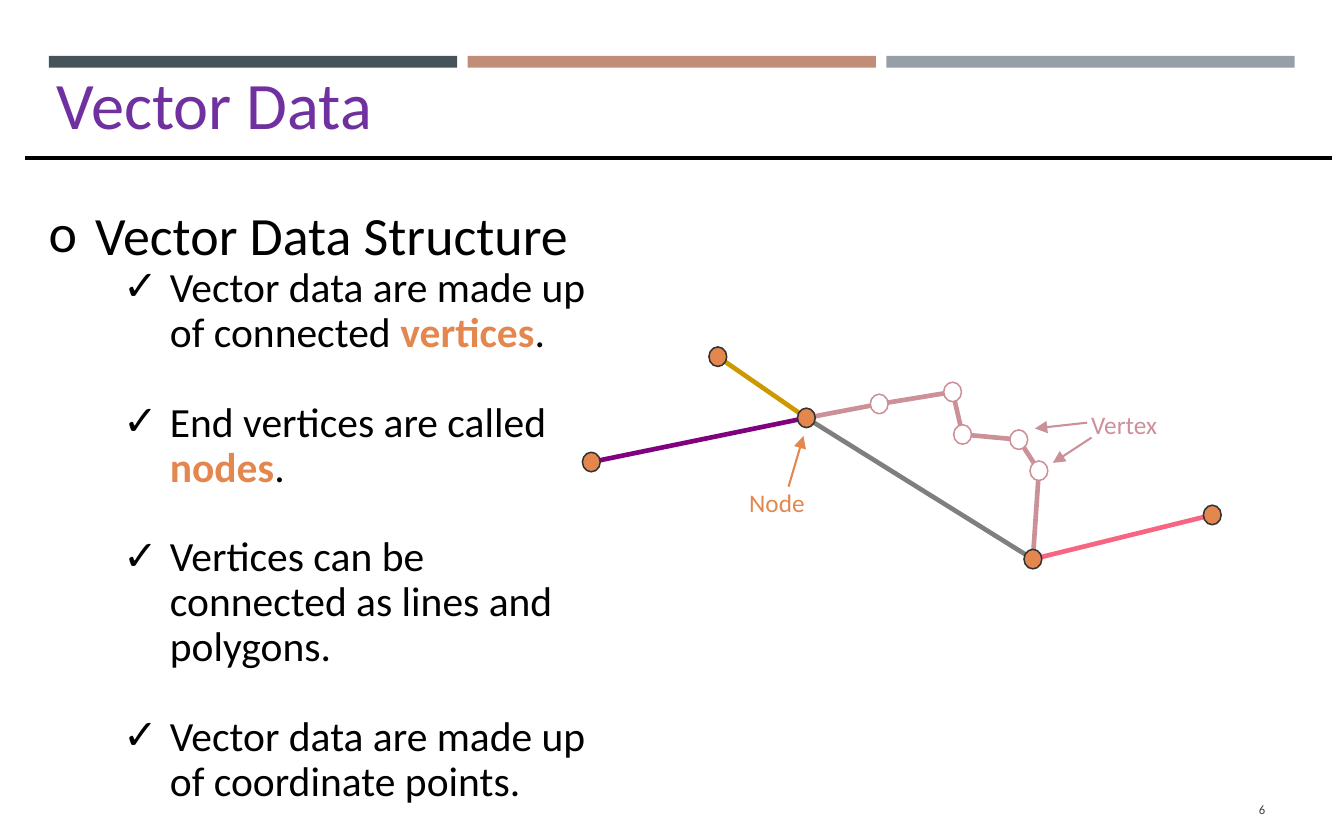
from lxml.etree import SubElement
from pptx import Presentation
from pptx.dml.color import RGBColor
from pptx.enum.shapes import MSO_CONNECTOR, MSO_SHAPE
from pptx.enum.text import MSO_ANCHOR, MSO_AUTO_SIZE, PP_ALIGN
from pptx.oxml.ns import qn
from pptx.util import Pt

FONT = "Calibri"
BLACK, WHITE, PURPLE = "000000", "FFFFFF", "7030A0"
ORANGE, ROSE, OUTLINE = "E3874F", "CC9099", "333333"


def color(hex_string):
    return RGBColor.from_string(hex_string)


def place(shape, box):
    shape.left, shape.top, shape.width, shape.height = (Pt(value) for value in box)


def add_text(paragraph, text, size, fill=BLACK, bold=False):
    run = paragraph.add_run()
    run.text = text
    run.font.name = FONT
    run.font.size = Pt(size)
    run.font.bold = bold
    run.font.color.rgb = color(fill)


def add_text_box(slide, box, text, margins=(7.2, 3.6), align=PP_ALIGN.LEFT,
                 anchor=MSO_ANCHOR.TOP, wrap=True, **text_format):
    shape = slide.shapes.add_textbox(*(Pt(value) for value in box))
    frame = shape.text_frame
    frame.word_wrap = wrap
    frame.auto_size = MSO_AUTO_SIZE.NONE if wrap else MSO_AUTO_SIZE.SHAPE_TO_FIT_TEXT
    frame.vertical_anchor = anchor
    frame.margin_left = frame.margin_right = Pt(margins[0])
    frame.margin_top = frame.margin_bottom = Pt(margins[1])
    frame.paragraphs[0].alignment = align
    add_text(frame.paragraphs[0], text, **text_format)


def add_shape(slide, preset, box, fill, line=None):
    shape = slide.shapes.add_shape(preset, *(Pt(value) for value in box))
    shape.shadow.inherit = False
    shape.fill.solid()
    shape.fill.fore_color.rgb = color(fill)
    if line:
        shape.line.color.rgb = color(line)
        shape.line.width = Pt(0.75)
    else:
        shape.line.fill.background()


def add_line(slide, start, end, line, width, arrow=False):
    connector = slide.shapes.add_connector(
        MSO_CONNECTOR.STRAIGHT, *(Pt(value) for value in (*start, *end)))
    connector.line.color.rgb = color(line)
    connector.line.width = Pt(width)
    properties = connector._element.spPr
    if arrow:
        SubElement(properties.find(qn("a:ln")), qn("a:tailEnd"), type="triangle")
    SubElement(properties, qn("a:effectLst"))


def set_bullet(paragraph, character, indent, hanging=22.5):
    properties = paragraph._p.get_or_add_pPr()
    properties.set("marL", str(Pt(indent)))
    properties.set("indent", str(-Pt(hanging)))
    SubElement(properties, qn("a:buFont"), typeface=FONT)
    SubElement(properties, qn("a:buChar"), char=character)


def add_header_bars(slide, box, gap=5):
    left, top, width, height = box
    fills = ("465359", "C18C78", "969FA7")
    bar_width = (width - gap * (len(fills) - 1)) / len(fills)
    for index, fill in enumerate(fills):
        bar = (left + index * (bar_width + gap), top, bar_width, height)
        add_shape(slide, MSO_SHAPE.RECTANGLE, bar, fill)


def add_title(slide, box):
    title = slide.shapes.title
    place(title, box)
    frame = title.text_frame
    frame.auto_size = MSO_AUTO_SIZE.NONE
    frame.vertical_anchor = MSO_ANCHOR.MIDDLE
    frame.paragraphs[0].alignment = PP_ALIGN.LEFT
    add_text(frame.paragraphs[0], "Vector Data", 32, PURPLE)


def add_bullet_list(slide, box):
    body = slide.placeholders[1]
    place(body, box)
    frame = body.text_frame
    frame.auto_size = MSO_AUTO_SIZE.NONE
    heading = frame.paragraphs[0]
    heading.line_spacing = 0.9
    heading.space_before = Pt(0)
    set_bullet(heading, "o", 22.5)
    add_text(heading, "Vector Data Structure", 26)

    # Each point: plain text, highlighted word, closing text
    points = (
        ("Vector data are made up of connected ", "vertices", "."),
        ("End vertices are called ", "nodes", "."),
        ("Vertices can be connected as lines and polygons.",),
        ("Vector data are made up of coordinate points.",),
    )
    for index, parts in enumerate(points):
        paragraph = frame.add_paragraph()
        paragraph.level = 1
        paragraph.line_spacing = 0.9
        paragraph.space_before = Pt(21.7 if index else 0)
        set_bullet(paragraph, "✓", 58.5)
        for position, part in enumerate(parts):
            highlighted = position == 1
            add_text(paragraph, part, 20, ORANGE if highlighted else BLACK, highlighted)


def add_network(slide, box):
    """Draw the lines, nodes and vertices with their labels."""
    left, top = box[:2]

    def at(point):
        return left + point[0], top + point[1]

    nodes = {
        "west": (4.3, 55.8), "north": (65.3, 5), "junction": (108, 34.5),
        "south": (217.2, 102.6), "east": (303.7, 81.3),
    }
    vertices = [(143.1, 27.8), (178.5, 22), (183.3, 42.5), (210.4, 45), (220.1, 60)]
    routes = (
        ("7F7F7F", [nodes["junction"], nodes["south"]]),
        ("CC9900", [nodes["north"], nodes["junction"]]),
        (ROSE, [nodes["junction"], *vertices, nodes["south"]]),
        ("F76681", [nodes["south"], nodes["east"]]),
        ("800080", [nodes["west"], nodes["junction"]]),
    )
    for line, points in routes:
        for start, end in zip(points, points[1:]):
            add_line(slide, at(start), at(end), line, 2.25)

    width, height = 8.6, 9.4
    for centers, fill, line in ((nodes.values(), ORANGE, OUTLINE), (vertices, WHITE, ROSE)):
        for center in centers:
            x, y = at(center)
            dot = (x - width / 2, y - height / 2, width, height)
            add_shape(slide, MSO_SHAPE.OVAL, dot, fill, line)

    labels = (
        ("Node", (75.6, 65.6), 36.7, ORANGE, [((99.4, 67.7), (106.6, 43.2))]),
        ("Vertex", (240.5, 28.1), 41.8, ROSE,
         [((243.4, 36.8), (218.2, 39.6)), ((245.5, 44), (226.8, 56.2))]),
    )
    for text, corner, label_width, fill, arrows in labels:
        add_text_box(slide, (*at(corner), label_width, 19.4), text,
                     margins=(4.8, 2.2), wrap=False, size=12.2, fill=fill)
        for start, end in arrows:
            add_line(slide, at(start), at(end), fill, 1, arrow=True)


def main():
    presentation = Presentation()
    presentation.slide_width, presentation.slide_height = Pt(648), Pt(405)
    slide = presentation.slides.add_slide(presentation.slide_layouts[1])
    add_header_bars(slide, (23.6, 27, 600.6, 5.6))
    add_network(slide, (280.8, 167, 308.2, 107.4))
    add_bullet_list(slide, (16.2, 97, 282.2, 315.4))
    add_title(slide, (20.2, 15.8, 635.8, 67.7))
    add_line(slide, (12, 76.3), (642.2, 76.3), BLACK, 1.75)
    add_text_box(slide, (560.9, 379.4, 56.2, 21.6), "6", align=PP_ALIGN.RIGHT,
                 anchor=MSO_ANCHOR.MIDDLE, size=6.1, fill="404040")
    presentation.save("out.pptx")


if __name__ == "__main__":
    main()
